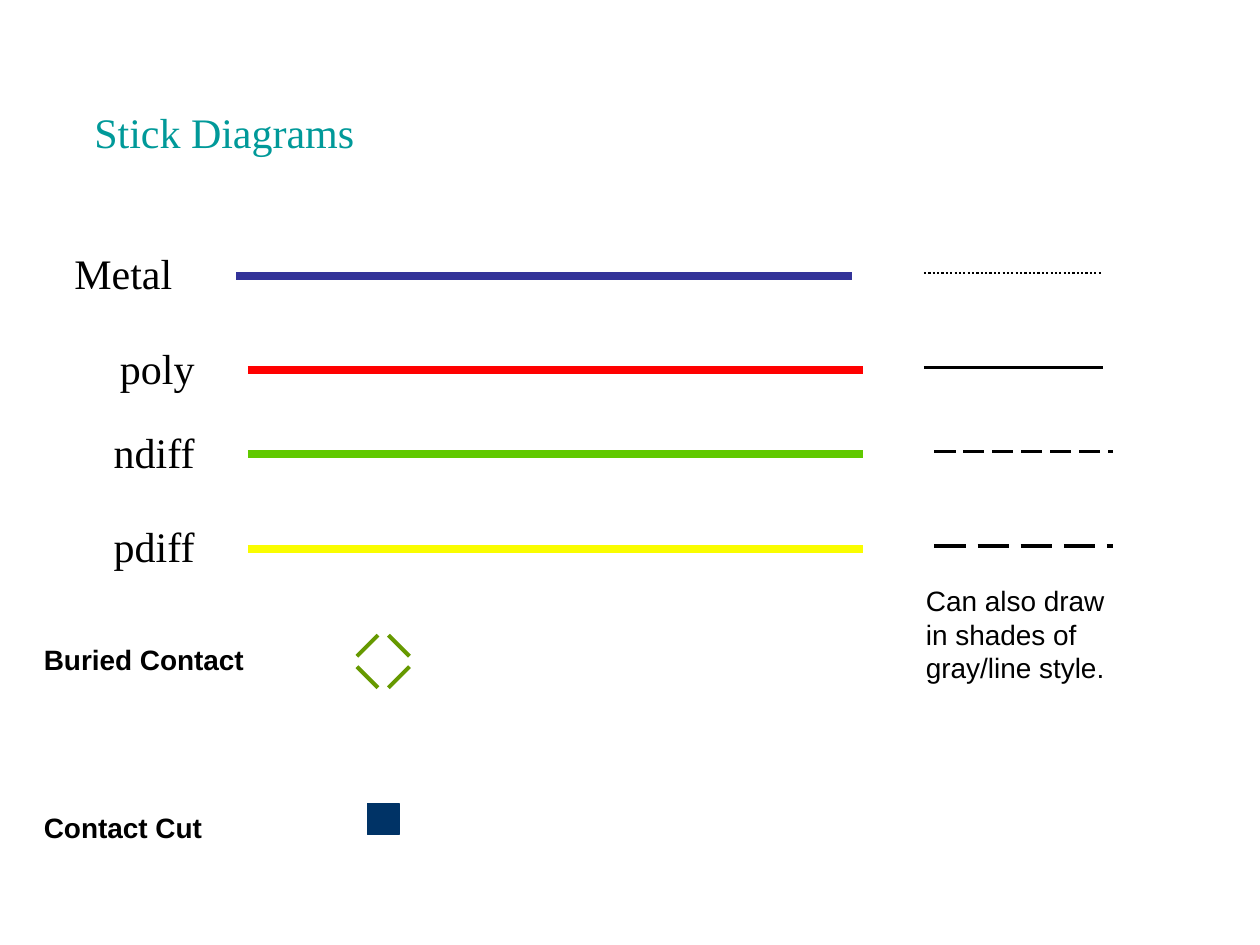
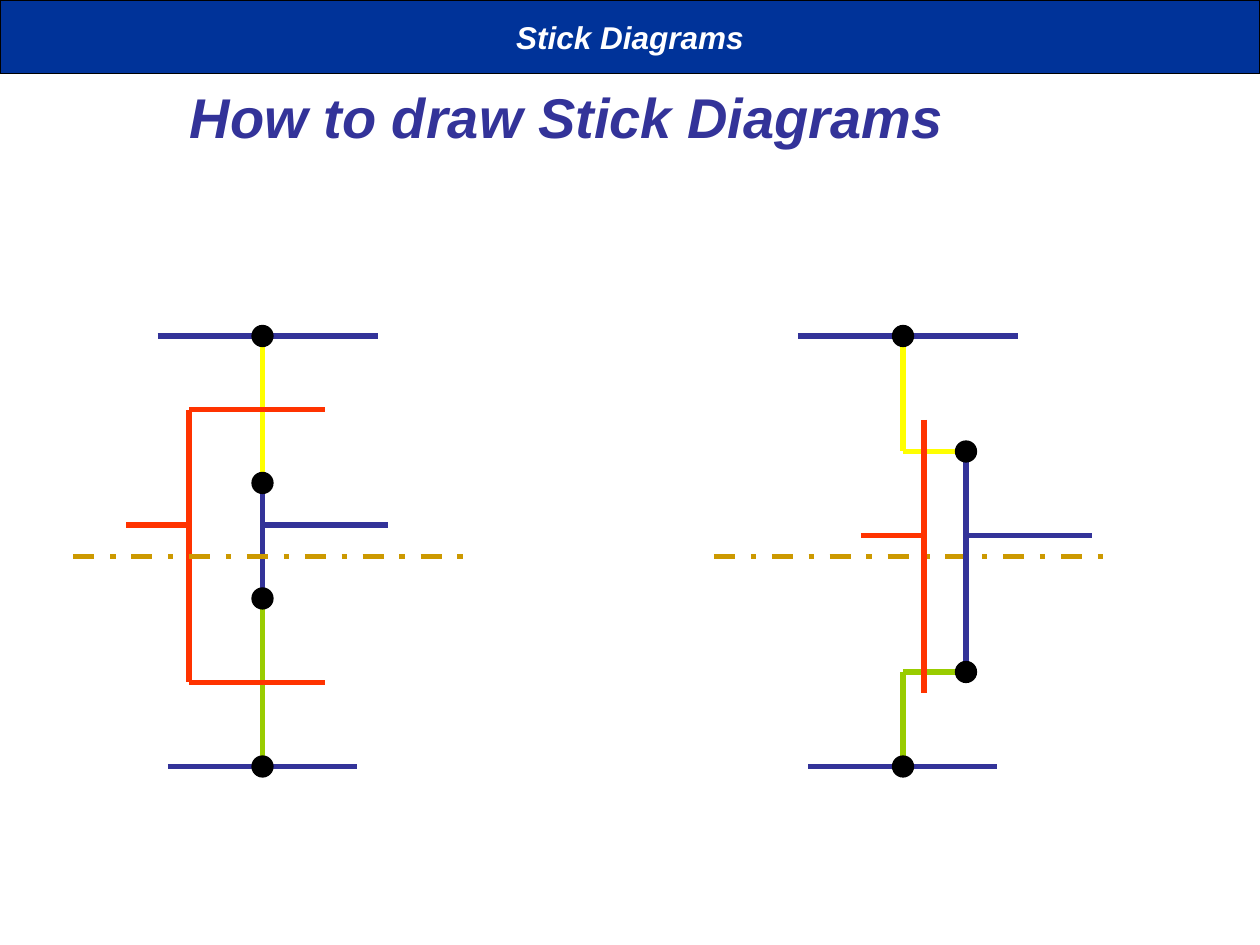
"""Build two slides on stick diagrams: the layer key and two inverter layouts."""
from typing import NamedTuple, Optional

from lxml import etree
from pptx import Presentation
from pptx import util as u
from pptx.dml.color import RGBColor
from pptx.enum import dml, shapes, text
from pptx.oxml.ns import qn

WIDTH, HEIGHT = u.Inches(10), u.Inches(7.5)
COLUMNS, ROWS = 120, 90

BLACK = RGBColor(0x00, 0x00, 0x00)
WHITE = RGBColor(0xFF, 0xFF, 0xFF)
TEAL = RGBColor(0x00, 0x99, 0x99)
METAL = RGBColor(0x33, 0x33, 0x99)
KEY_POLY = RGBColor(0xFF, 0x00, 0x00)
KEY_NDIFF = RGBColor(0x60, 0xC9, 0x00)
KEY_PDIFF = RGBColor(0xFA, 0xFD, 0x00)
BURIED = RGBColor(0x66, 0x99, 0x00)
CUT = RGBColor(0x00, 0x33, 0x66)
BAND = RGBColor(0x00, 0x33, 0x99)
POLY = RGBColor(0xFF, 0x33, 0x00)
NDIFF = RGBColor(0x99, 0xCC, 0x00)
PDIFF = RGBColor(0xFF, 0xFF, 0x00)
WELL = RGBColor(0xCC, 0x99, 0x00)

DOT, DASH, DASH_DOT = (dml.MSO_LINE.ROUND_DOT, dml.MSO_LINE.LONG_DASH,
                       dml.MSO_LINE.DASH_DOT)
LEFT, CENTER, RIGHT = text.PP_ALIGN.LEFT, text.PP_ALIGN.CENTER, text.PP_ALIGN.RIGHT

SERIF = {"name": "Times New Roman", "size": u.Pt(24)}
NOTE = {"name": "Arial", "size": u.Pt(16)}
CONTACT = {**NOTE, "bold": True}
HEADING = {"name": "Arial", "size": u.Pt(32), "bold": True, "italic": True}
BAND_TEXT = {**HEADING, "size": u.Pt(18)}


class Box(NamedTuple):
    """A rectangle in grid columns and rows."""
    column: float
    row: float
    width: float
    height: float


class Stick(NamedTuple):
    """A straight stick between two grid points."""
    x1: float
    y1: float
    x2: float
    y2: float
    color: RGBColor
    points: float = 3
    dash: Optional[dml.MSO_LINE] = None


class Layer(NamedTuple):
    """One row of the layer key with its colour and line style."""
    label: str
    row: float
    label_end: float
    stick_start: float
    color: RGBColor
    sample_start: float
    sample_points: float
    sample_dash: Optional[dml.MSO_LINE]


class Inverter(NamedTuple):
    """Sticks and contacts of one inverter layout."""
    sticks: list[Stick]
    contacts: list[tuple[float, float]]


LAYERS = [
    Layer("Metal", 26, 17.6, 22.5, METAL, 88, 1.25, DOT),
    Layer("poly", 35, 19.7, 23.6, KEY_POLY, 88, 2.25, None),
    Layer("ndiff", 43, 19.7, 23.6, KEY_NDIFF, 89, 1.5, DASH),
    Layer("pdiff", 52, 19.7, 23.6, KEY_PDIFF, 89, 2.25, DASH),
]

STRAIGHT = Inverter(
    [Stick(25, 32, 25, 46, PDIFF), Stick(15, 32, 36, 32, METAL),
     Stick(16, 73, 34, 73, METAL), Stick(25, 57, 25, 73, NDIFF),
     Stick(25, 46, 25, 57, METAL), Stick(18, 39, 31, 39, POLY),
     Stick(18, 65, 31, 65, POLY), Stick(18, 39, 18, 65, POLY),
     Stick(12, 50, 18, 50, POLY), Stick(7, 53, 45, 53, WELL, dash=DASH_DOT),
     Stick(25, 50, 37, 50, METAL)],
    [(25, 32), (25, 46), (25, 57), (25, 73)])

BENT = Inverter(
    [Stick(86, 64, 86, 73, NDIFF), Stick(86, 32, 86, 43, PDIFF),
     Stick(76, 32, 97, 32, METAL), Stick(77, 73, 95, 73, METAL),
     Stick(82, 51, 88, 51, POLY), Stick(68, 53, 106, 53, WELL, dash=DASH_DOT),
     Stick(86, 64, 92, 64, NDIFF), Stick(86, 43, 92, 43, PDIFF),
     Stick(92, 43, 92, 64, METAL), Stick(92, 51, 104, 51, METAL),
     Stick(88, 40, 88, 66, POLY)],
    [(86, 32), (86, 73), (92, 43), (92, 64)])


def across(columns: float) -> int:
    """Turn grid columns into a length."""
    return round(WIDTH * columns / COLUMNS)


def down(rows: float) -> int:
    """Turn grid rows into a length."""
    return round(HEIGHT * rows / ROWS)


def place(box: Box) -> tuple[int, int, int, int]:
    """Turn a grid box into left, top, width and height."""
    return across(box.column), down(box.row), across(box.width), down(box.height)


def write(frame, words: str, style: dict, color: RGBColor, align=LEFT,
          anchor=text.MSO_ANCHOR.TOP) -> None:
    """Fill a text frame, one paragraph a line."""
    frame.word_wrap = True
    frame.vertical_anchor = anchor
    for index, line in enumerate(words.split("\n")):
        paragraph = frame.add_paragraph() if index else frame.paragraphs[0]
        paragraph.alignment = align
        run = paragraph.add_run()
        run.text = line
        for key, value in style.items():
            setattr(run.font, key, value)
        run.font.color.rgb = color


def add_words(slide, box: Box, *args, **kwargs) -> None:
    """Add a text box on the grid."""
    write(slide.shapes.add_textbox(*place(box)).text_frame, *args, **kwargs)


def add_stick(slide, stick: Stick) -> None:
    """Draw a stick as a plain line."""
    line = slide.shapes.add_connector(
        shapes.MSO_CONNECTOR.STRAIGHT, across(stick.x1), down(stick.y1),
        across(stick.x2), down(stick.y2))
    line.line.color.rgb = stick.color
    line.line.width = u.Pt(stick.points)
    if stick.dash is not None:
        line.line.dash_style = stick.dash
    etree.SubElement(line._element.spPr, qn("a:effectLst"))


def add_solid(slide, kind, box: Box, fill: RGBColor, edge: RGBColor):
    """Draw a filled shape with a thin edge."""
    solid = slide.shapes.add_shape(kind, *place(box))
    solid.shadow.inherit = False
    solid.fill.solid()
    solid.fill.fore_color.rgb = fill
    solid.line.color.rgb = edge
    solid.line.width = u.Pt(0.75)
    return solid


def add_layer(slide, layer: Layer) -> None:
    """Draw the label, coloured stick and line-style sample of a layer."""
    y = layer.row + 0.25
    add_stick(slide, Stick(layer.stick_start, y, layer.stick_start + 58.6, y,
                           layer.color, 4.5))
    add_words(slide, Box(2, layer.row - 3, layer.label_end - 2, 6), layer.label,
              SERIF, BLACK, RIGHT)
    add_stick(slide, Stick(layer.sample_start, layer.row, layer.sample_start + 17,
                           layer.row, BLACK, layer.sample_points, layer.sample_dash))


def add_buried_contact(slide, x: float, y: float) -> None:
    """Draw four diagonal sticks around a centre."""
    for side in (-1, 1):
        for end in (-1, 1):
            add_stick(slide, Stick(x + side * 2.5, y + end * 0.5,
                                   x + side * 0.5, y + end * 2.5, BURIED, 2.25))


def add_inverter(slide, inverter: Inverter) -> None:
    """Draw the sticks, then the contacts on top."""
    for stick in inverter.sticks:
        add_stick(slide, stick)
    for x, y in inverter.contacts:
        add_solid(slide, shapes.MSO_SHAPE.OVAL, Box(x - 1, y - 1, 2, 2), BLACK, BLACK)


def build_key(slide) -> None:
    """Build the slide with the layer key."""
    add_words(slide, Box(7.8, 9.6, 30, 6), "Stick Diagrams", SERIF, TEAL)
    for layer in LAYERS:
        add_layer(slide, layer)
    add_words(slide, Box(87, 55, 22, 10.8),
              "Can also draw\nin shades of\ngray/line style.", NOTE, BLACK)
    for label, row in (("Buried Contact", 60.6), ("Contact Cut", 76.6)):
        add_words(slide, Box(3, row, 25, 4.4), label, CONTACT, BLACK)
    add_buried_contact(slide, 36.5, 63)
    add_solid(slide, shapes.MSO_SHAPE.RECTANGLE, Box(35, 76.5, 3, 3), CUT, CUT)


def build_drawing(slide) -> None:
    """Build the slide with the two inverter layouts."""
    middle = text.MSO_ANCHOR.MIDDLE
    add_words(slide, Box(0, 3.6, 108, 15), "How to draw Stick Diagrams", HEADING,
              METAL, CENTER, middle)
    band = add_solid(slide, shapes.MSO_SHAPE.RECTANGLE, Box(0, 0, COLUMNS, 7),
                     BAND, BLACK)
    write(band.text_frame, "Stick Diagrams", BAND_TEXT, WHITE, CENTER, middle)
    for inverter in (STRAIGHT, BENT):
        add_inverter(slide, inverter)


def main() -> None:
    """Build and save the presentation."""
    deck = Presentation()
    deck.slide_width, deck.slide_height = WIDTH, HEIGHT
    for build in (build_key, build_drawing):
        build(deck.slides.add_slide(deck.slide_layouts[6]))
    deck.save("out.pptx")


if __name__ == "__main__":
    main()
